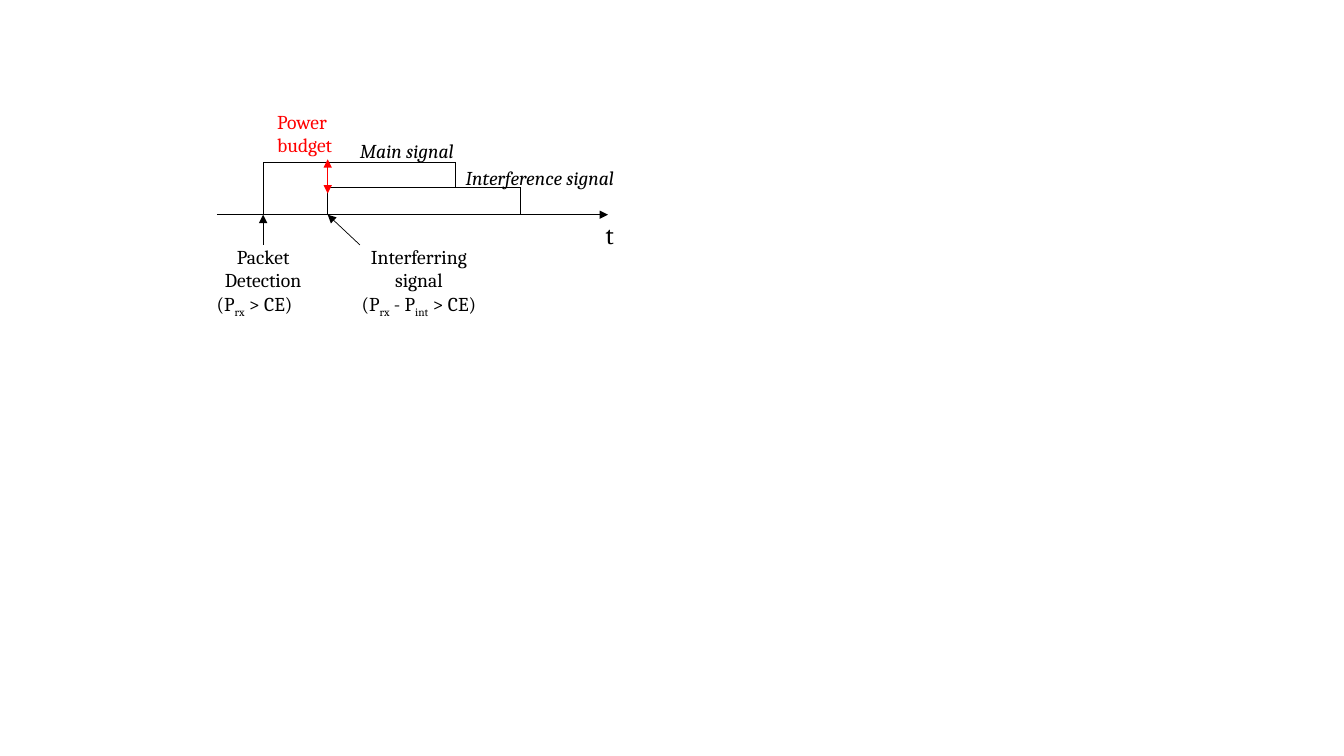
from lxml.etree import SubElement
from pptx import Presentation
from pptx.dml.color import RGBColor
from pptx.enum.shapes import MSO_CONNECTOR
from pptx.enum.text import MSO_AUTO_SIZE, PP_ALIGN
from pptx.oxml.ns import qn
from pptx.util import Inches, Pt

BLACK = RGBColor(0x00, 0x00, 0x00)
RED = RGBColor(0xFF, 0x00, 0x00)
FONT = "Cambria"


def add_line(page, start, end, color=BLACK, arrows=()):
    """Draw a thin line; arrows lists "headEnd" (at start) and "tailEnd" (at end)."""
    line = page.shapes.add_connector(
        MSO_CONNECTOR.STRAIGHT, *[Inches(value) for value in (*start, *end)])
    line.line.color.rgb = color
    line.line.width = Pt(0.5)
    properties = line._element.spPr
    outline = properties.find(qn("a:ln"))
    for arrow in arrows:
        SubElement(outline, qn(f"a:{arrow}"), type="triangle")
    SubElement(properties, qn("a:effectLst"))


def add_label(page, area, paragraphs, size=14, color=BLACK, italic=False):
    """Write paragraphs given as (alignment, spans); every second span is a subscript."""
    box = page.shapes.add_textbox(*[Inches(value) for value in area])
    frame = box.text_frame
    frame.word_wrap = True
    frame.auto_size = MSO_AUTO_SIZE.SHAPE_TO_FIT_TEXT
    for index, (alignment, spans) in enumerate(paragraphs):
        paragraph = frame.add_paragraph() if index else frame.paragraphs[0]
        paragraph.alignment = alignment
        for position, text in enumerate(spans):
            span = paragraph.add_run()
            span.text = text
            span.font.name = FONT
            span.font.size = Pt(size)
            span.font.color.rgb = color
            if italic:
                span.font.italic = True
            if position % 2:
                span._r.get_or_add_rPr().set("baseline", "-25000")


def add_signal(page, left, top, right, left_base, right_base):
    """Draw the top and both sides of a signal pulse."""
    add_line(page, (left, top), (right, top))
    add_line(page, (left, top), (left, left_base))
    add_line(page, (right, top), (right, right_base))


def add_timing_diagram(page, left, top):
    """Place the diagram with its time axis starting at left and its main signal at top."""
    axis = top + 0.52
    main_start = left + 0.46
    interference_start = main_start + 0.64
    interference_top = top + 0.25
    duration = 1.91
    main_end = main_start + duration
    caption_top = axis + 0.25
    arrow_base = axis + 0.3

    add_signal(page, main_start, top, main_end, axis, interference_top)
    add_signal(page, interference_start, interference_top,
               interference_start + duration, axis, axis)
    add_line(page, (left, axis), (left + 3.88, axis), arrows=["tailEnd"])
    add_line(page, (interference_start, top + 0.31), (interference_start, top - 0.03),
             RED, ["headEnd", "tailEnd"])
    for event, offset in ((main_start, 0), (interference_start, 0.32)):
        add_line(page, (event + offset, arrow_base), (event, axis), arrows=["tailEnd"])

    add_label(page, (left + 3.76, axis, 0.66, 0.4), [(PP_ALIGN.LEFT, ["t"])], size=18)
    add_label(page, (left + 1.32, top - 0.28, 1.69, 0.34),
              [(PP_ALIGN.LEFT, ["Main signal"])], italic=True)
    add_label(page, (main_end, top - 0.01, 1.69, 0.34),
              [(PP_ALIGN.LEFT, ["Interference signal"])], italic=True)
    add_label(page, (left + 0.5, top - 0.57, 0.82, 0.57),
              [(PP_ALIGN.LEFT, ["Power"]), (PP_ALIGN.LEFT, ["budget"])], color=RED)
    add_label(page, (left - 0.1, caption_top, 1.12, 0.81),
              [(PP_ALIGN.CENTER, ["Packet Detection"]),
               (PP_ALIGN.LEFT, ["(P", "rx", " > CE)"])])
    add_label(page, (left + 1.18, caption_top, 1.65, 0.81),
              [(PP_ALIGN.CENTER, ["Interferring signal"]),
               (PP_ALIGN.CENTER, ["(P", "rx", " - P", "int", " > CE)"])])


def main():
    deck = Presentation()
    deck.slide_width = Inches(13.33)
    deck.slide_height = Inches(7.5)
    page = deck.slides.add_slide(deck.slide_layouts[6])
    add_timing_diagram(page, left=2.15, top=1.61)
    deck.save("out.pptx")


if __name__ == "__main__":
    main()
